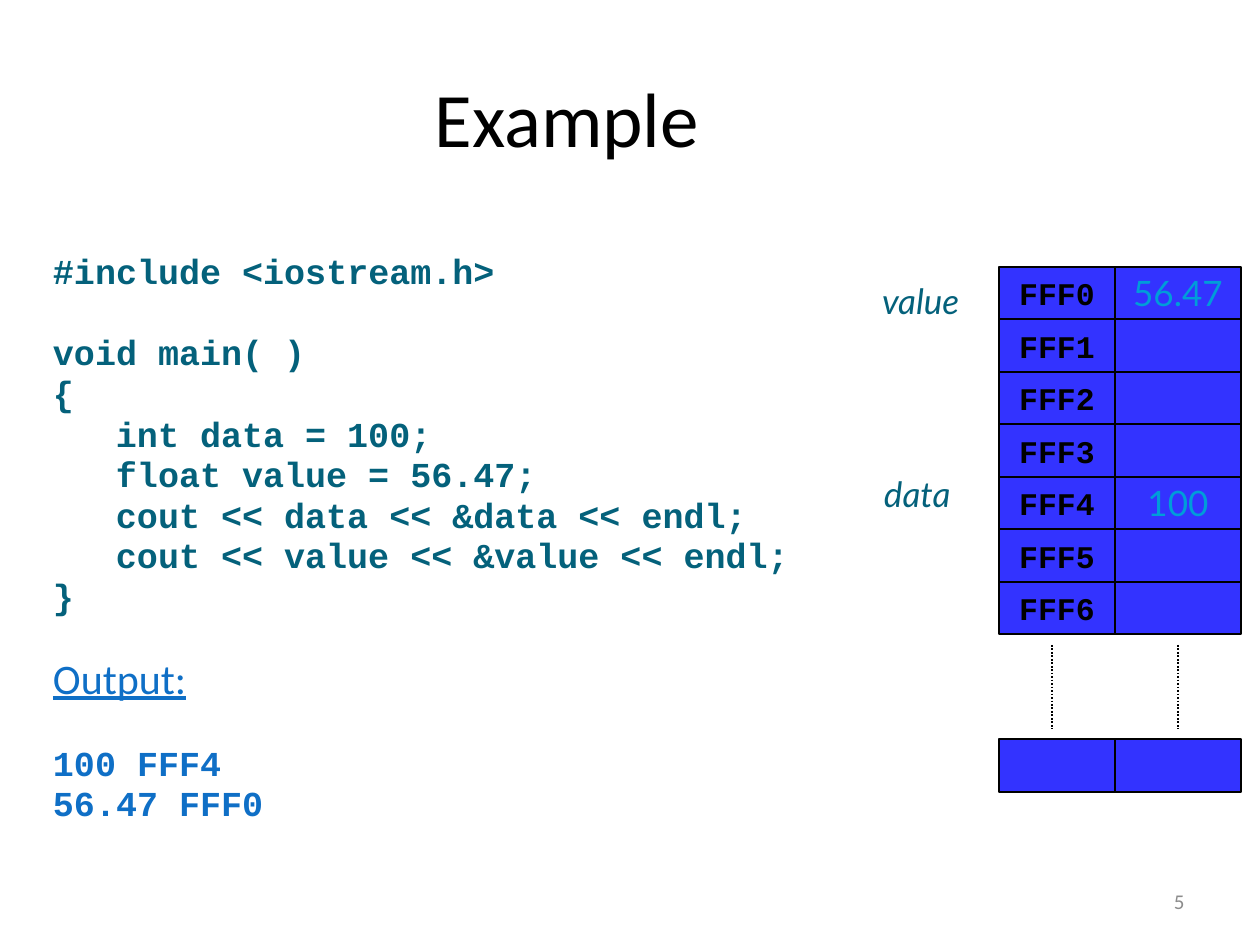
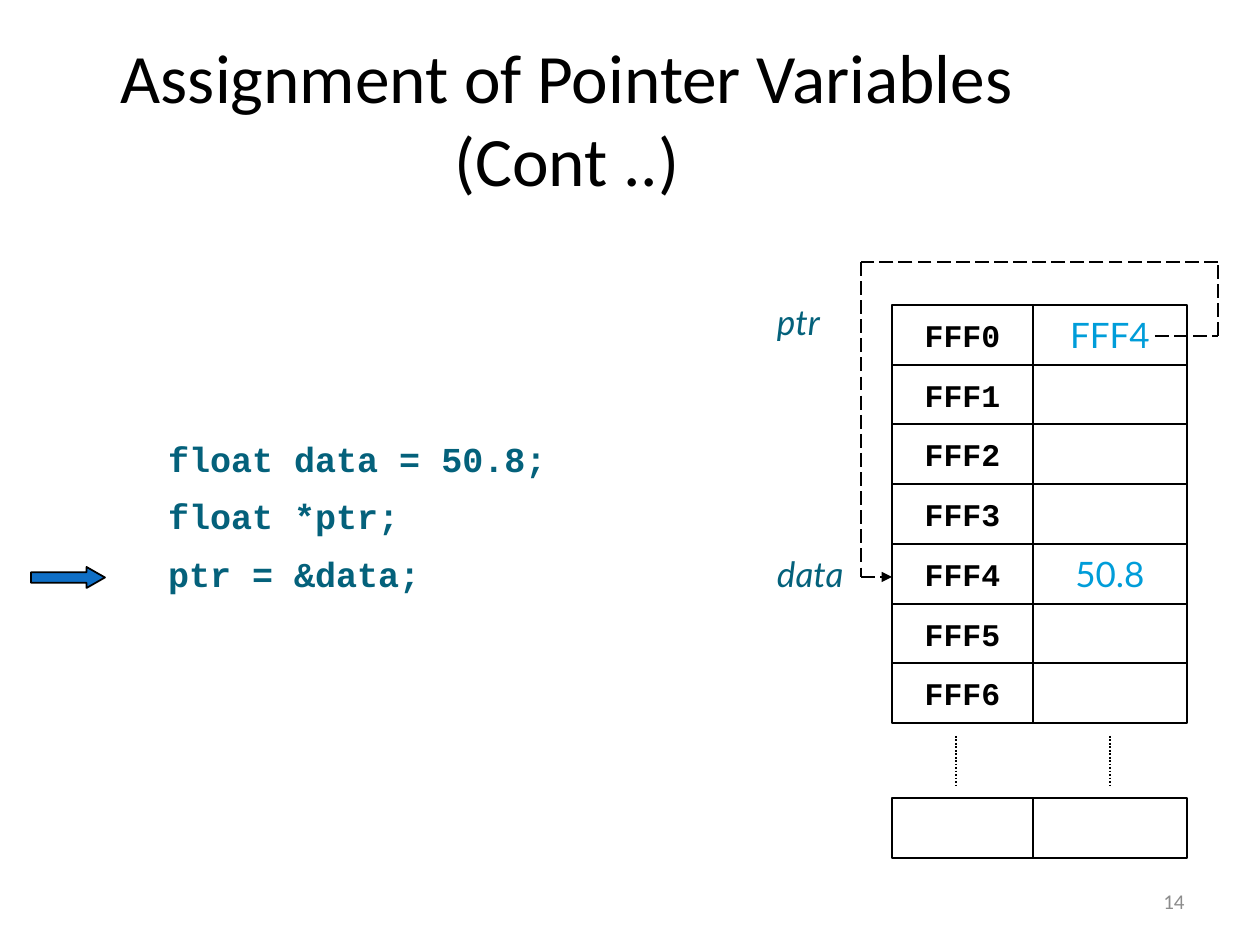
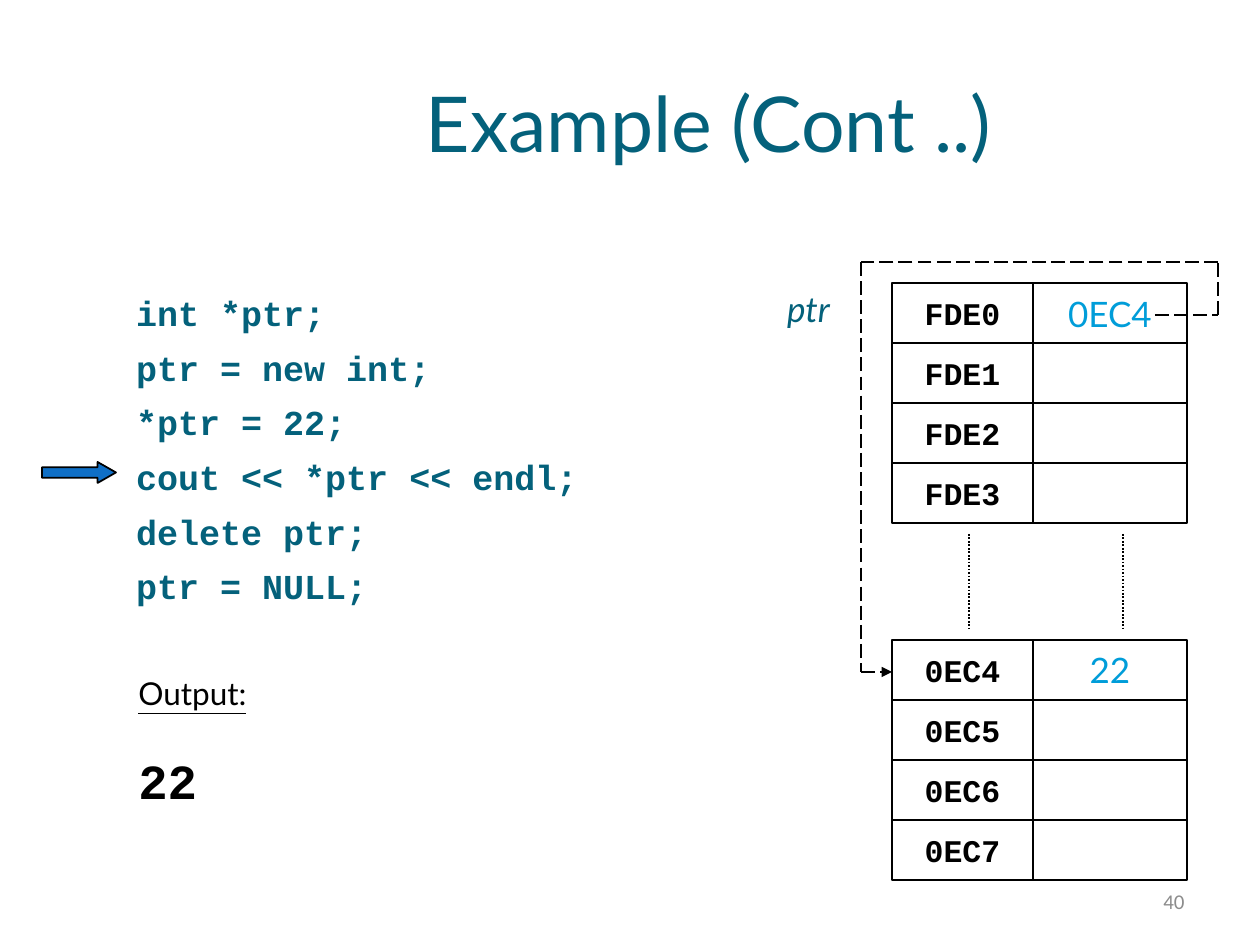
from dataclasses import dataclass
from itertools import pairwise

from pptx import Presentation
from pptx.dml.color import RGBColor
from pptx.enum import dml, shapes, text
from pptx.oxml.ns import qn
from pptx.util import Emu, Pt
from lxml import etree

PX = 914400 // 126  # EMU in one pixel
STEP = 63           # one code indent, three characters wide


@dataclass(frozen=True)
class Theme:
    """Colours, fonts and type sizes shared by the slides."""
    ink: str = "000000"
    teal: str = "04617B"
    blue: str = "0F6FC6"
    sky: str = "009DD9"
    cell: str = "3333FF"
    gray: str = "8C8C8C"
    plain: str = "Calibri"
    mono: str = "Courier New"
    sans: str = "Lato"
    head: float = 44
    long: float = 39.6
    big: float = 28
    out: float = 24
    code: float = 20
    addr: float = 18
    foot: float = 12


T = Theme()
LEFT, MID = text.PP_ALIGN.LEFT, text.PP_ALIGN.CENTER


def place(shape, box):
    """Move a shape to a left, top, width, height box in pixels."""
    shape.left, shape.top, shape.width, shape.height = (Emu(v * PX) for v in box)


def write(frame, words, first=True, font=T.plain, size=T.code, color=T.ink,
          bold=False, italic=False, under=False, align=LEFT, before=0,
          lines=None, step=0):
    """Put one formatted paragraph into a text frame."""
    para = frame.paragraphs[0] if first else frame.add_paragraph()
    para.alignment = align
    para.space_before = Pt(before)
    if lines:
        para.line_spacing = lines
    props = para._p.get_or_add_pPr()
    props.set("marL", str(step * STEP * PX))
    props.set("indent", "0")
    etree.SubElement(props, qn("a:buNone"))
    run = para.add_run()
    run.text = words
    face = run.font
    face.name, face.size = font, Pt(size)
    face.bold, face.italic, face.underline = bold, italic, under
    face.color.rgb = RGBColor.from_string(color)


def label(slide, words, box, flush=True, anchor=text.MSO_ANCHOR.TOP, **style):
    """Add a text box holding one paragraph and return its frame."""
    shape = slide.shapes.add_textbox(0, 0, 0, 0)
    place(shape, box)
    frame = shape.text_frame
    frame.word_wrap = True
    frame.vertical_anchor = anchor
    if flush:
        frame.margin_left = frame.margin_right = 0
    write(frame, words, **style)
    return frame


def name(slide, words, x, y):
    """Add the italic name of a variable beside its memory cell."""
    label(slide, words, (x, y, 95, 54), font=T.sans, color=T.teal, italic=True)


def start(deck, words, page, box=(0, 38, 1134, 158), **style):
    """Add a slide with its title and page number."""
    slide = deck.slides.add_slide(deck.slide_layouts[1])
    place(slide.shapes.title, box)
    frame = slide.shapes.title.text_frame
    frame.auto_size = text.MSO_AUTO_SIZE.NONE
    frame.vertical_anchor = text.MSO_ANCHOR.MIDDLE
    write(frame, words, align=MID, **{"size": T.head, **style})
    label(slide, str(page), (903, 876, 294, 50), flush=False,
          anchor=text.MSO_ANCHOR.MIDDLE, size=T.foot, color=T.gray,
          align=text.PP_ALIGN.RIGHT)
    return slide


def listing(slide, box, rows, lines, gap=4, inset=6):
    """Fill the body with rows of (words, format), inset from its top."""
    body = slide.placeholders[1]
    place(body, box)
    frame = body.text_frame
    frame.auto_size = text.MSO_AUTO_SIZE.NONE
    frame.margin_left = frame.margin_right = 0
    frame.margin_top = Emu(inset * PX)
    base = dict(font=T.mono, color=T.teal, bold=True, before=gap, lines=lines)
    for i, (words, style) in enumerate(rows):
        write(frame, words, first=i == 0, **{**base, **style})


def block(slide, kind, box, fill=None):
    """Add an outlined preset shape, filled if a colour is given."""
    shape = slide.shapes.add_shape(kind, *(Emu(v * PX) for v in box))
    shape.shadow.inherit = False
    shape.line.color.rgb = RGBColor.from_string(T.ink)
    shape.line.width = Pt(1)
    if fill:
        shape.fill.solid()
        shape.fill.fore_color.rgb = RGBColor.from_string(fill)
    else:
        shape.fill.background()
    return shape


def memory(slide, cols, top, end, rows, fill=None):
    """Stack rows of (address, value) cells between two heights."""
    edges = [round(top + (end - top) * i / len(rows))
             for i in range(len(rows) + 1)]
    looks = (dict(font=T.mono, size=T.addr, bold=True),
             dict(font=T.sans, color=T.sky))
    for (y, low), row in zip(pairwise(edges), rows):
        for (x, right), words, look in zip(pairwise(cols), row, looks):
            cell = block(slide, shapes.MSO_SHAPE.RECTANGLE,
                         (x, y, right - x, low - y), fill)
            if words:
                frame = cell.text_frame
                frame.word_wrap = False
                frame.vertical_anchor = text.MSO_ANCHOR.MIDDLE
                write(frame, words, align=MID, **look)


def line(slide, a, b, dash, tip=False):
    """Draw a dashed line from a to b, with an arrowhead at b if asked."""
    wire = slide.shapes.add_connector(
        shapes.MSO_CONNECTOR.STRAIGHT, *(Emu(v * PX) for v in (*a, *b)))
    wire.line.color.rgb = RGBColor.from_string(T.ink)
    wire.line.width = Pt(1)
    wire.line.dash_style = dash
    if tip:
        etree.SubElement(wire.line._ln, qn("a:tailEnd"), type="triangle")
    etree.SubElement(wire._element.spPr, qn("a:effectLst"))


def gap(slide, xs, top, end):
    """Draw dotted lines for the memory that is left out."""
    for x in xs:
        line(slide, (x, top), (x, end), dml.MSO_LINE.ROUND_DOT)


def link(slide, y, goal):
    """Lead a dashed path from the pointer's value to the cell it names."""
    path = [(1155, y), (1218, y), (1218, 262), (861, 262), (861, goal), (892, goal)]
    legs = list(pairwise(path))
    for a, b in legs:
        line(slide, a, b, dml.MSO_LINE.LONG_DASH, tip=(a, b) == legs[-1])


def marker(slide, x, y):
    """Add the block arrow that marks the current statement."""
    arrow = block(slide, shapes.MSO_SHAPE.RIGHT_ARROW, (x, y, 74, 21), T.blue)
    arrow.adjustments[0], arrow.adjustments[1] = 0.5, 0.875


def rows(base, values, count):
    """Pair consecutive hex addresses with the values stored at them."""
    return [(f"{base + i:04X}", values.get(i, "")) for i in range(count)]


def address(deck):
    """Slide on variables and their addresses."""
    slide = start(deck, "Example", 5)
    result = dict(color=T.blue)
    listing(slide, (53, 252, 850, 599), [
        ("#include <iostream.h>", {}),
        ("void main( )", dict(before=27)),
        ("{", {}),
        ("int data = 100;", dict(step=1)),
        ("float value = 56.47;", dict(step=1)),
        ("cout << data << &data << endl;", dict(step=1)),
        ("cout << value << &value << endl;", dict(step=1)),
        ("}", {}),
        ("Output:", dict(result, font=T.plain, size=T.out, bold=False,
                         under=True, before=26)),
        ("100 FFF4", dict(result, before=27)),
        ("56.47 FFF0", result),
    ], lines=0.8)
    cols = (999, 1115, 1241)
    memory(slide, cols, 267, 634, rows(0xFFF0, {0: "56.47", 4: "100"}, 7), T.cell)
    gap(slide, (1052, 1178), 645, 729)
    memory(slide, cols, 739, 792, [("", "")], T.cell)
    name(slide, "value", 882, 273)
    name(slide, "data", 884, 466)


COLS = (892, 1033, 1187)


def assign(deck):
    """Slide on pointing a pointer at a variable."""
    slide = start(deck, "Assignment of Pointer Variables (Cont ..)", 14, size=T.long)
    code = ("float data = 50.8;", "float *ptr;", "ptr = &data;")
    listing(slide, (105, 252, 536, 567),
            [(words, dict(step=1)) for words in code], lines=1.2, inset=177)
    memory(slide, COLS, 305, 723, rows(0xFFF0, {0: "FFF4", 4: "50.8"}, 7))
    gap(slide, (956, 1110), 736, 788)
    memory(slide, COLS, 798, 858, [("", "")])
    name(slide, "ptr", 777, 294)
    name(slide, "data", 777, 546)
    link(slide, 336, 577)
    marker(slide, 31, 567)


def dynamic(deck):
    """Slide on memory reserved while the program runs."""
    slide = start(deck, "Example (Cont ..)", 40, box=(252, 44, 914, 155),
                  font=T.sans, color=T.teal)
    code = ("int *ptr;", "ptr = new int;", "*ptr = 22;",
            "cout << *ptr << endl;", "delete ptr;", "ptr = NULL;")
    listing(slide, (136, 273, 536, 368), [(words, {}) for words in code],
            lines=1.3, gap=0)
    marker(slide, 42, 462)
    memory(slide, COLS, 283, 523, rows(0xFDE0, {0: "0EC4"}, 4))
    gap(slide, (969, 1123), 534, 630)
    memory(slide, COLS, 640, 880, rows(0x0EC4, {0: "22"}, 4))
    name(slide, "ptr", 787, 281)
    link(slide, 315, 672)
    frame = label(slide, "Output:", (126, 675, 305, 154), flush=False,
                  font=T.sans, size=T.addr, under=True, lines=0.8)
    write(frame, "22", first=False, font=T.mono, size=T.big, bold=True,
          before=29, lines=0.8)


def main():
    """Build and save the deck."""
    deck = Presentation()
    deck.slide_width, deck.slide_height = Emu(1260 * PX), Emu(945 * PX)
    address(deck)
    assign(deck)
    dynamic(deck)
    deck.save("out.pptx")


main()
